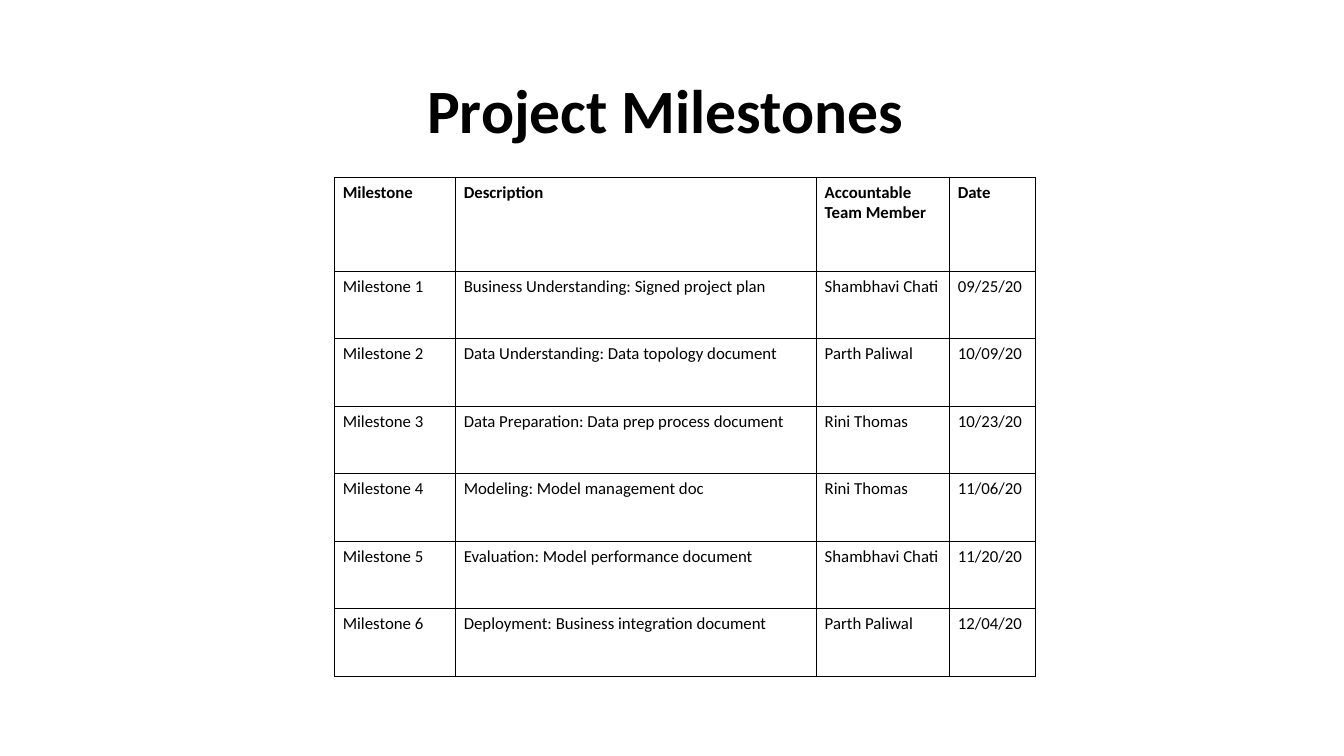
from dataclasses import dataclass

from lxml import etree
from pptx import Presentation
from pptx.dml.color import RGBColor
from pptx.enum.text import MSO_ANCHOR, PP_ALIGN
from pptx.oxml.ns import qn
from pptx.util import Inches, Pt

CENTER, LEFT = PP_ALIGN.CENTER, PP_ALIGN.LEFT
MIDDLE, TOP = MSO_ANCHOR.MIDDLE, MSO_ANCHOR.TOP

# Content
TITLE = "Project Milestones "
HEADERS = ("Milestone", "Description", "Accountable Team Member", "Date")
MILESTONES = [
    ("Business Understanding: Signed project plan", "Shambhavi Chati", "09/25/20"),
    ("Data Understanding: Data topology document", "Parth Paliwal", "10/09/20"),
    ("Data Preparation: Data prep process document", "Rini Thomas", "10/23/20"),
    ("Modeling: Model management doc", "Rini Thomas", "11/06/20"),
    ("Evaluation: Model performance document", "Shambhavi Chati", "11/20/20"),
    ("Deployment: Business integration document", "Parth Paliwal", "12/04/20"),
]

# Layout in inches
SLIDE_W, SLIDE_H = 13.33, 7.5
TITLE_BOX = (0.92, 0.4, 11.5, 1.45)
TABLE_LEFT, TABLE_TOP = 3.32, 1.76
COL_WIDTHS = (1.2, 3.58, 1.32, 0.85)
HEADER_H, ROW_H = 0.93, 0.67
PAD_X, PAD_Y = 0.08, 0.05


@dataclass(frozen=True)
class Theme:
    font: str = "Calibri"
    ink: str = "000000"
    title_size: int = 44
    cell_size: int = 12
    border: float = 0.5


THEME = Theme()


def add_run(p, text, size, bold):
    r = p.add_run()
    r.text = text
    r.font.name = THEME.font
    r.font.size = Pt(size)
    r.font.bold = bold
    r.font.color.rgb = RGBColor.from_string(THEME.ink)


def add_borders(cell):
    tc_pr = cell._tc.get_or_add_tcPr()
    for side in ("lnL", "lnR", "lnT", "lnB"):
        ln = etree.SubElement(tc_pr, qn(f"a:{side}"), w=str(Pt(THEME.border)))
        fill = etree.SubElement(ln, qn("a:solidFill"))
        etree.SubElement(fill, qn("a:srgbClr"), val=THEME.ink)


def fill_cell(cell, text, bold):
    cell.margin_left = cell.margin_right = Inches(PAD_X)
    cell.margin_top = cell.margin_bottom = Inches(PAD_Y)
    cell.vertical_anchor = TOP
    add_borders(cell)
    cell.fill.background()
    p = cell.text_frame.paragraphs[0]
    p.alignment = LEFT
    add_run(p, text, THEME.cell_size, bold)


def add_title(s):
    title = s.shapes.title
    title.left, title.top, title.width, title.height = map(Inches, TITLE_BOX)
    tf = title.text_frame
    tf.word_wrap = True
    tf.vertical_anchor = MIDDLE
    p = tf.paragraphs[0]
    p.alignment = CENTER
    p.line_spacing = 0.9
    add_run(p, TITLE, THEME.title_size, True)


def add_milestone_table(s):
    rows = [HEADERS] + [(f"Milestone {n}", *m) for n, m in enumerate(MILESTONES, 1)]
    heights = [HEADER_H] + [ROW_H] * len(MILESTONES)
    frame = s.shapes.add_table(
        len(rows), len(HEADERS), Inches(TABLE_LEFT), Inches(TABLE_TOP),
        Inches(sum(COL_WIDTHS)), Inches(sum(heights)))
    table = frame.table
    table.horz_banding = False
    for col, width in zip(table.columns, COL_WIDTHS):
        col.width = Inches(width)
    for i, (row, height, texts) in enumerate(zip(table.rows, heights, rows)):
        row.height = Inches(height)
        for cell, text in zip(row.cells, texts):
            fill_cell(cell, text, bold=i == 0)


def main():
    prs = Presentation()
    prs.slide_width, prs.slide_height = Inches(SLIDE_W), Inches(SLIDE_H)
    s = prs.slides.add_slide(prs.slide_layouts[5])  # title only
    add_title(s)
    add_milestone_table(s)
    prs.save("out.pptx")


if __name__ == "__main__":
    main()
